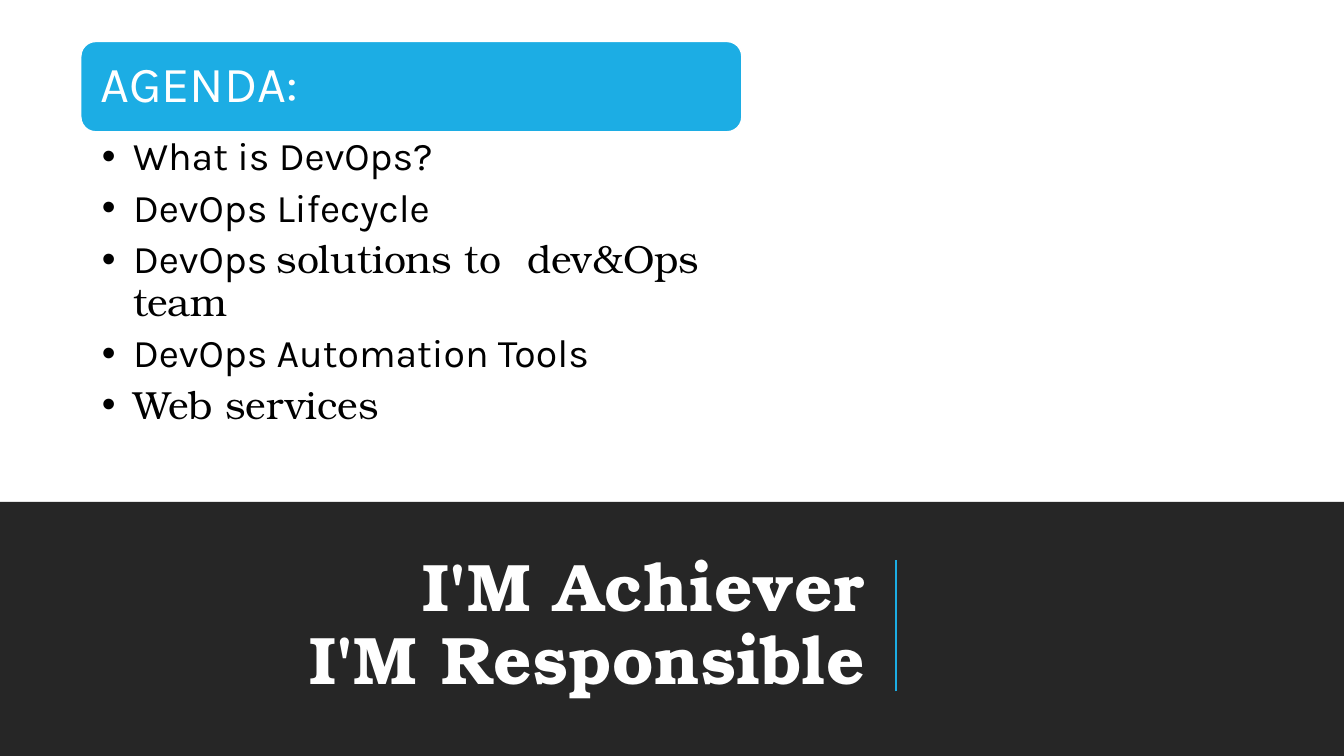
import pptx
import pptx.util
import pptx.dml.color
import pptx.enum.shapes
import pptx.enum.text
import pptx.oxml
from dataclasses import dataclass

Inches, Pt = pptx.util.Inches, pptx.util.Pt
Shape = pptx.enum.shapes.MSO_SHAPE
Align = pptx.enum.text.PP_ALIGN
Anchor = pptx.enum.text.MSO_ANCHOR
Fit = pptx.enum.text.MSO_AUTO_SIZE
Color = pptx.dml.color.RGBColor.from_string


@dataclass
class Theme:
    white: object = Color("FFFFFF")
    black: object = Color("000000")
    dark: object = Color("262626")
    blue: object = Color("1CADE4")
    sans: str = "Karla"
    serif: str = "TeX Gyre Bonum"
    title: int = 48
    head: int = 36
    item: int = 28


theme = Theme()
deck = pptx.Presentation()
deck.slide_width, deck.slide_height = Inches(13.33), Inches(7.5)
slide = deck.slides.add_slide(deck.slide_layouts[1])
shapes = slide.shapes


def add_box(kind, left, top, width, height, fill):
    box = shapes.add_shape(kind, Inches(left), Inches(top), Inches(width), Inches(height))
    box.shadow.inherit = False
    box.fill.solid()
    box.fill.fore_color.rgb = fill
    box.line.fill.background()
    return box


def set_frame(shape, anchor, left, top, right, bottom):
    frame = shape.text_frame
    frame.word_wrap = True
    frame.auto_size = Fit.NONE
    frame.vertical_anchor = anchor
    frame.margin_left, frame.margin_top = Inches(left), Inches(top)
    frame.margin_right, frame.margin_bottom = Inches(right), Inches(bottom)
    return frame


# Background panels
add_box(Shape.RECTANGLE, 0, 0, 13.33, 7.5, theme.white)
add_box(Shape.RECTANGLE, 0, 4.98, 13.33, 2.52, theme.dark)

# Title, raised above the panels
title = shapes.title
shapes._spTree.append(title._element)
title.left, title.top = Inches(0.69), Inches(5.36)
title.width, title.height = Inches(8.02), Inches(1.69)
frame = set_frame(title, Anchor.MIDDLE, 0.12, 0.12, 0.12, 0.1)
frame.text = "I'M Achiever\vI'M Responsible"
para = frame.paragraphs[0]
para.alignment = Align.RIGHT
para.line_spacing = 0.9
font = para.font
font.name, font.size, font.bold = theme.serif, Pt(theme.title), True
font.color.rgb = theme.white
font._rPr.set("spc", "50")

# Rule beside the title
rule = shapes.add_connector(pptx.enum.shapes.MSO_CONNECTOR.STRAIGHT,
                            Inches(8.89), Inches(6.86), Inches(8.89), Inches(5.56))
rule.line.color.rgb = theme.blue
rule.line.width = Pt(1.5)
rule._element.spPr.append(pptx.oxml.parse_xml(
    '<a:effectLst xmlns:a="http://schemas.openxmlformats.org/drawingml/2006/main"/>'))

# Agenda banner
banner = add_box(Shape.ROUNDED_RECTANGLE, 0.8, 0.41, 6.56, 0.9, theme.blue)
banner.line.color.rgb = theme.white
banner.line.width = Pt(1.25)
frame = set_frame(banner, Anchor.MIDDLE, 0.15, 0.15, 0.15, 0.15)
frame.text = "AGENDA:"
para = frame.paragraphs[0]
para.alignment = Align.LEFT
para.line_spacing = 0.9
para.font.name, para.font.size = theme.sans, Pt(theme.head)
para.font.color.rgb = theme.white

# Agenda list: each item is a list of (text, font) runs
items = [
    [("What is DevOps?", theme.sans)],
    [("DevOps Lifecycle", theme.sans)],
    [("DevOps ", theme.sans), ("solutions to\u00a0\u00a0dev&Ops team", theme.serif)],
    [("DevOps Automation Tools", theme.sans)],
    [("Web services", theme.serif)],
]
body = slide.placeholders[1]
shapes._spTree.append(body._element)
body.left, body.top = Inches(0.8), Inches(1.31)
body.width, body.height = Inches(6.56), Inches(2.85)
frame = set_frame(body, Anchor.TOP, 0.21, 0.05, 0.28, 0.05)
for i, item in enumerate(items):
    para = frame.add_paragraph() if i else frame.paragraphs[0]
    para.line_spacing = 0.9
    para.space_before, para.space_after = Pt(0), Pt(6.5)
    para.font.size = Pt(theme.item)
    para.font.color.rgb = theme.black
    props = para._p.get_or_add_pPr()
    props.set("marL", str(Inches(0.31)))
    props.set("indent", str(Inches(-0.31)))
    if len(item) == 1:
        para.font.name = item[0][1]
    for text, face in item:
        run = para.add_run()
        run.text = text
        if len(item) > 1:
            run.font.name = face

deck.save("out.pptx")
